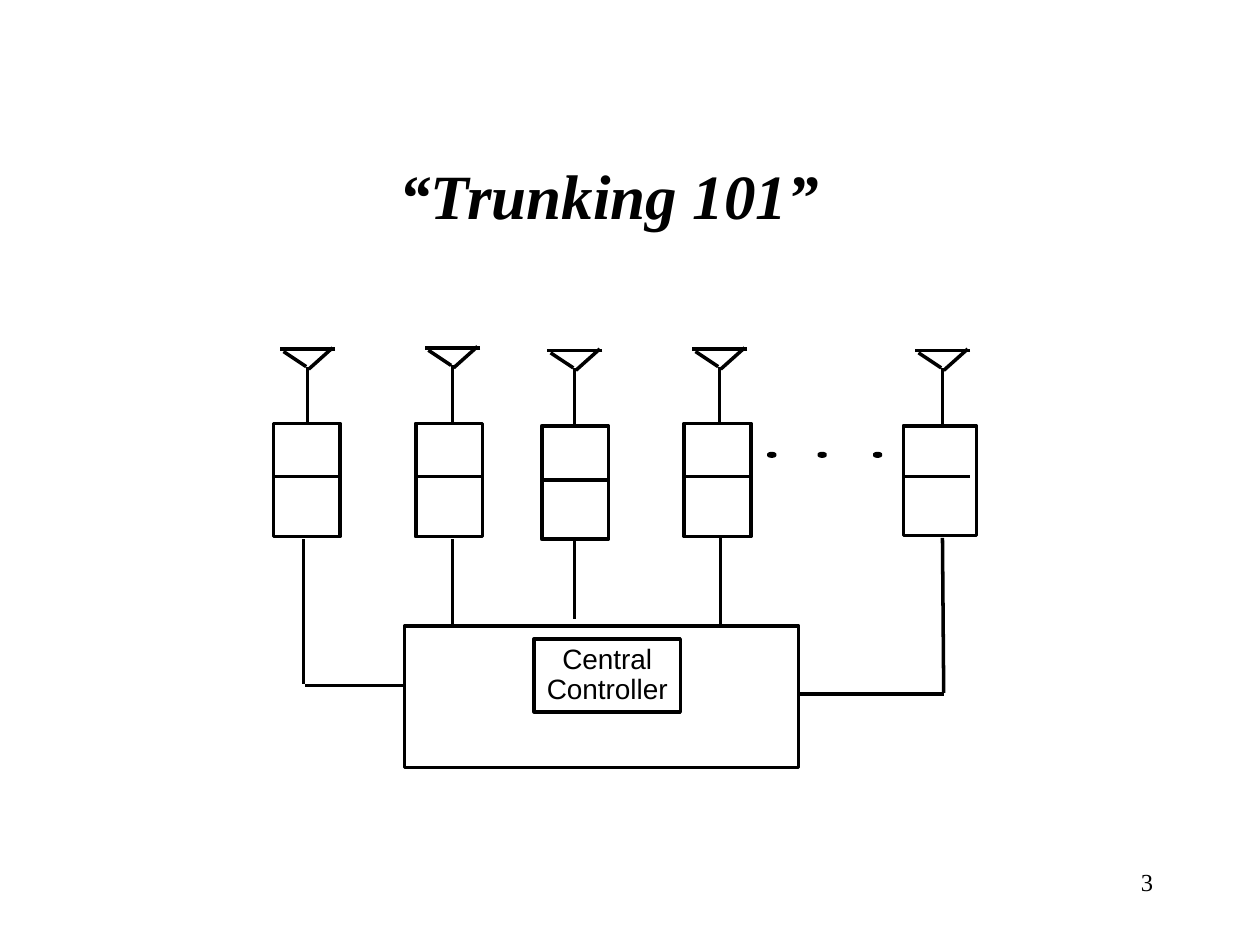
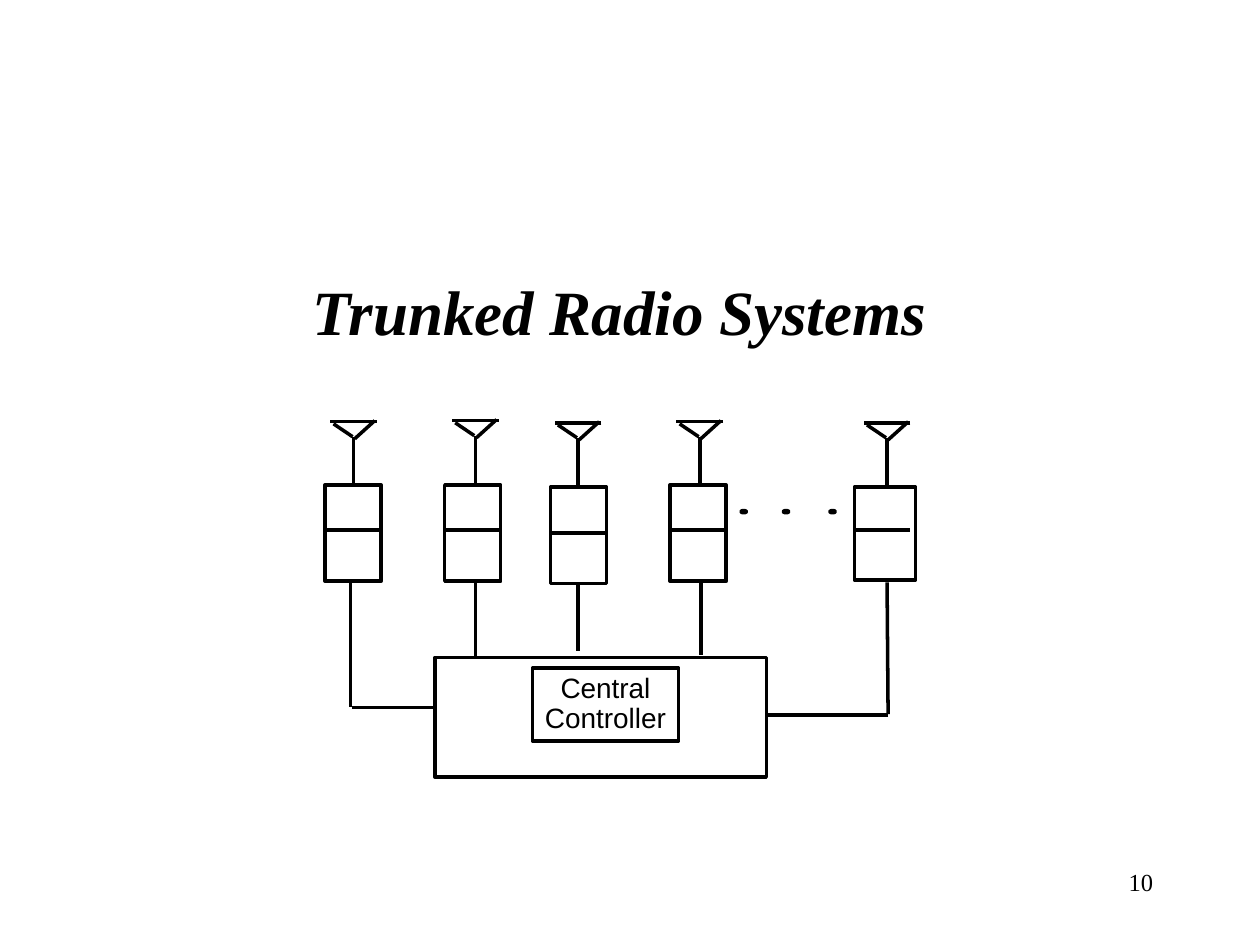
from dataclasses import dataclass

from pptx import Presentation
from pptx.dml.color import RGBColor
from pptx.enum.shapes import MSO_CONNECTOR, MSO_SHAPE
from pptx.enum.text import MSO_ANCHOR, MSO_AUTO_SIZE, PP_ALIGN
from pptx.oxml.ns import qn
from pptx.util import Emu, Pt

PX = 9144  # 100 px to the inch
COLORS = {"ink": "000000", "page": "FFFFFF"}
SERIF, SANS = "Times New Roman", "Arial"
WEIGHT = 2
HOME = (217, 275)  # top left of the diagram as listed below
SPAN = 53  # length of the line across a radio

# Radios: left, top, width, height, y of the dividing line
RADIOS = [
    (217, 336, 53, 90, 378),
    (330, 336, 53, 90, 378),
    (430, 338, 53, 90, 381),
    (543, 336, 53, 90, 378),
    (717, 338, 58, 87, 378),
]
# Antennas: mast x, mast top
MASTS = [(244, 291), (359, 290), (456, 292), (571, 291), (748, 292)]
# Antenna strokes, measured from the mast top
STROKES = [(0, 46, 0, 0), (1, 2, 20, -15), (22, -14, -22, -14), (-19, -12, -1, 0)]
# Lines from the radios to the controller
FEEDS = [
    (241, 428, 241, 543), (242, 544, 321, 544),
    (359, 428, 359, 496),
    (456, 429, 456, 491),
    (572, 427, 572, 495),
    (748, 427, 749, 550), (749, 551, 634, 551),
]
DOTS = [610, 650, 694]


def px(value):
    return Emu(round(value * PX))


def color(name):
    return RGBColor.from_string(COLORS[name])


@dataclass
class Frame:
    """Maps diagram lengths to a place and scale on the slide."""
    left: int
    top: int
    wide: float = 1
    high: float = 1

    def spot(self, x, y):
        return (self.left + (x - HOME[0]) * self.wide,
                self.top + (y - HOME[1]) * self.high)

    def area(self, x, y, w, h):
        return (*self.spot(x, y), w * self.wide, h * self.high)


def write(box, *lines, font=SERIF, size=14, bold=False, italic=False,
          align=PP_ALIGN.CENTER, anchor=MSO_ANCHOR.TOP, space=None,
          wrap=True, fit=MSO_AUTO_SIZE.NONE):
    body = box.text_frame
    body.word_wrap = wrap
    body.auto_size = fit
    body.vertical_anchor = anchor
    body.text = "\n".join(lines)
    for para in body.paragraphs:
        para.alignment = align
        para.line_spacing = space
        for run in para.runs:
            run.font.name = font
            run.font.size = Pt(size)
            run.font.bold = bold
            run.font.italic = italic
            run.font.color.rgb = color("ink")


def draw(slide, kind, area, fill=None):
    shape = slide.shapes.add_shape(kind, *map(px, area))
    shape.shadow.inherit = False
    if fill:
        shape.fill.solid()
        shape.fill.fore_color.rgb = color(fill)
    else:
        shape.fill.background()
    shape.line.color.rgb = color("ink")
    shape.line.width = Pt(WEIGHT)
    return shape


def link(slide, frame, x1, y1, x2, y2):
    ends = (*frame.spot(x1, y1), *frame.spot(x2, y2))
    line = slide.shapes.add_connector(MSO_CONNECTOR.STRAIGHT, *map(px, ends))
    line.line.color.rgb = color("ink")
    line.line.width = Pt(WEIGHT)
    props = line._element.spPr
    props.append(props.makeelement(qn("a:effectLst"), {}))


def start(deck, title, left, top, number):
    slide = deck.slides.add_slide(deck.slide_layouts[5])
    slide.background.fill.solid()
    slide.background.fill.fore_color.rgb = color("page")
    # Title
    head = slide.shapes.title
    head.left, head.top, head.width, head.height = map(px, (left, top, 583, 92))
    write(head, title, size=36, bold=True, italic=True, anchor=MSO_ANCHOR.MIDDLE)
    # Page number
    foot = slide.shapes.add_textbox(*map(px, (717, 683, 208, 50)))
    write(foot, number, align=PP_ALIGN.RIGHT)
    return slide


def system(slide, frame):
    # Radios
    for x, y, w, h, mid in RADIOS:
        draw(slide, MSO_SHAPE.RECTANGLE, frame.area(x, y, w, h))
        link(slide, frame, x, mid, x + SPAN, mid)
    # Dots for further radios
    for x in DOTS:
        draw(slide, MSO_SHAPE.OVAL, frame.area(x, 360, 5, 2), fill="ink")
    # Controller, whose label keeps its size at any scale
    draw(slide, MSO_SHAPE.RECTANGLE, frame.area(321, 497, 313, 112))
    mid, top = frame.spot(482, 507)
    label = draw(slide, MSO_SHAPE.RECTANGLE, (mid - 58, top, 116, 58))
    write(label, "Central", "Controller", font=SANS, size=16, space=0.9,
          wrap=False, fit=MSO_AUTO_SIZE.SHAPE_TO_FIT_TEXT)
    # Feed lines
    for feed in FEEDS:
        link(slide, frame, *feed)
    # Antennas
    for x, y in MASTS:
        for x1, y1, x2, y2 in STROKES:
            link(slide, frame, x + x1, y + y1, x + x2, y + y2)


def main():
    deck = Presentation()
    deck.slide_width, deck.slide_height = px(1000), px(750)
    system(start(deck, "“Trunking 101”", 192, 108, "3"), Frame(*HOME))
    system(start(deck, "Trunked Radio Systems", 200, 200, "10"),
           Frame(258, 333, 0.84, 0.85))
    deck.save("out.pptx")


if __name__ == "__main__":
    main()
